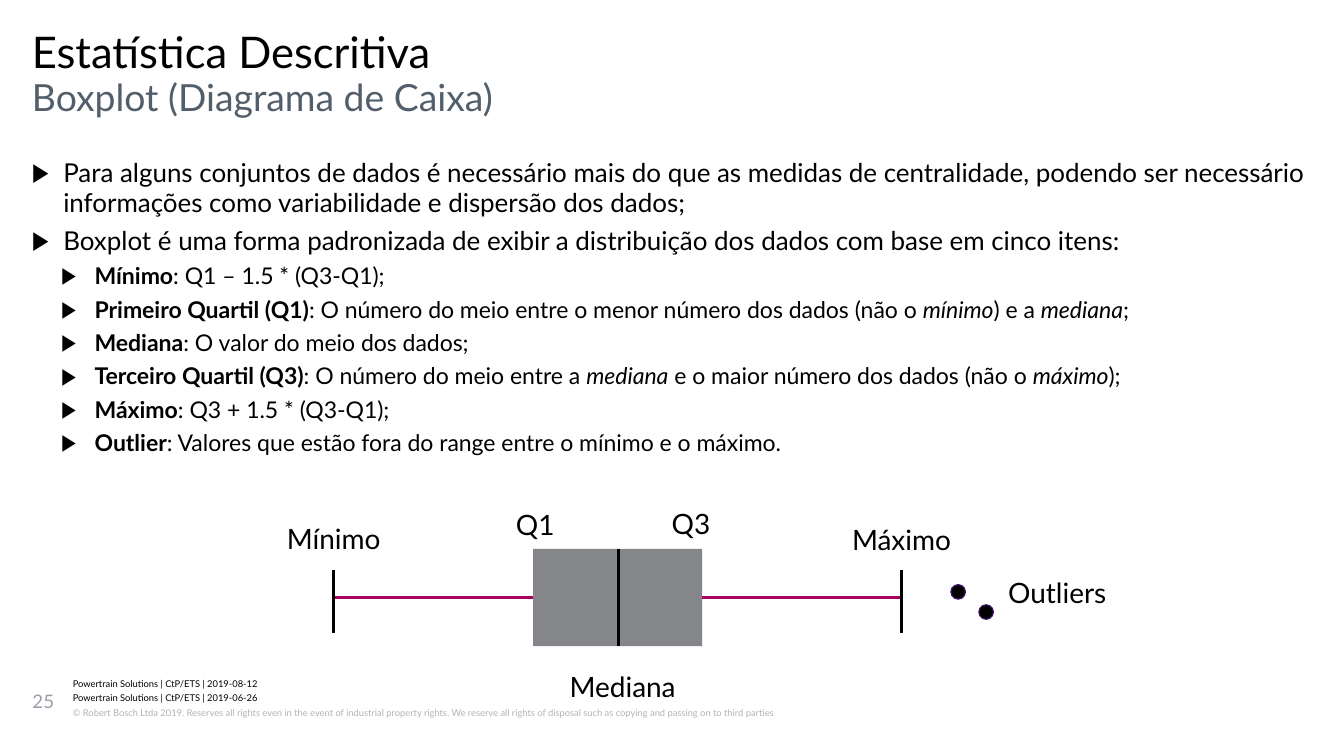
from lxml import etree
from pptx import Presentation, util as u
from pptx.dml.color import RGBColor
from pptx.enum import shapes, text
from pptx.oxml.ns import qn

COLORS = {"black": "000000", "slate": "525F6B", "number": "999FA6", "legal": "B2B3B5",
          "box": "848689", "whisker": "A80163", "outlier": "3F136C"}

presentation = Presentation()
presentation.slide_width = u.Inches(12)
presentation.slide_height = u.Inches(6.75)
slide = presentation.slides.add_slide(presentation.slide_layouts[3])

# Grid of 120 columns by 67.5 rows
COLUMN = presentation.slide_width / 120
ROW = presentation.slide_height / 67.5


def grid(left, top, width, height):
    return [int(n * unit) for n, unit in zip((left, top, width, height), (COLUMN, ROW) * 2)]


def write(box, content, size=18, color="black", bold=False, italic=False, align=None,
          spacing=None, before=0, after=0, bullet=None, level=0, append=False, place=None):
    """Write one run; place sets up the box first, append continues its last paragraph."""
    frame = box.text_frame
    if place:
        box.left, box.top, box.width, box.height = grid(*place)
        frame.margin_left = frame.margin_right = frame.margin_top = frame.margin_bottom = 0
        frame.vertical_anchor = text.MSO_ANCHOR.TOP
        frame.auto_size = text.MSO_AUTO_SIZE.NONE
        frame.word_wrap = align is None
    paragraph = frame.paragraphs[-1]
    if not append:
        if paragraph.runs:
            paragraph = frame.add_paragraph()
        paragraph.level = level
        paragraph.alignment = align
        paragraph.line_spacing = spacing
        paragraph.space_before, paragraph.space_after = u.Pt(before), u.Pt(after)
        if bullet:
            properties = paragraph._p.get_or_add_pPr()
            margin, indent = bullet
            properties.set("marL", str(u.Inches(margin)))
            properties.set("indent", str(u.Inches(indent)))
            etree.SubElement(properties, qn("a:buChar")).set("char", "▶")
    run = paragraph.add_run()
    run.text = content
    font = run.font
    font.name, font.size, font.bold, font.italic = "Lato", u.Pt(size), bold, italic
    font.color.rgb = RGBColor.from_string(COLORS[color])


# Footer: three separate lines
for content, top, height, color, spacing in [
    ("Powertrain Solutions | CtP/ETS | 2019-08-12", 60.5, 1.2, "black", 1.07),
    ("Powertrain Solutions | CtP/ETS | 2019-06-26", 61.7, 1.2, "black", 1.07),
    ("© Robert Bosch Ltda 2019. Reserves all rights even in the event of industrial property "
     "rights. We reserve all rights of disposal such as copying and passing on to third parties",
     62.9, 2.4, "legal", 1.2),
]:
    place = (6.5, top, 100.1, height)
    write(slide.shapes.add_textbox(*grid(*place)), content, place=place,
          size=6, color=color, spacing=spacing, after=1)
place = (2.9, 61.6, 3.2, 4.5)
write(slide.shapes.add_textbox(*grid(*place)), "25", place=place, size=12, color="number")

# Headings
title, heading, body = slide.placeholders
write(title, "Boxplot (Diagrama de Caixa)", place=(2.85, 7.1, 114.3, 4.3),
      size=24, color="slate", spacing=0.89, align=text.PP_ALIGN.LEFT)
write(heading, "Estatística Descritiva", place=(2.85, 2.8, 114.3, 4.3), size=28, spacing=0.89,
      align=text.PP_ALIGN.LEFT)
heading_properties = heading.text_frame.paragraphs[0]._p.get_or_add_pPr()
heading_properties.set("marL", "0")
heading_properties.set("indent", "0")
etree.SubElement(heading_properties, qn("a:buNone"))

# List: introduction, then one term and its definition per line (italics between underscores)
write(body, "Para alguns conjuntos de dados é necessário mais do que as medidas de centralidade, "
      "podendo ser necessário informações como variabilidade e dispersão dos dados;",
      place=(2.85, 14.1, 114.3, 27.9), size=16.7, spacing=0.97, bullet=(0.28, -0.28))
write(body, "Boxplot é uma forma padronizada de exibir a distribuição dos dados com base em "
      "cinco itens:", size=16.7, spacing=0.97, before=5, bullet=(0.28, -0.28))
for term, definition in [
    ("Mínimo", ": Q1 – 1.5 * (Q3-Q1);"),
    ("Primeiro Quartil (Q1)", ": O número do meio entre o menor número dos dados "
                              "(não o _mínimo_) e a _mediana_;"),
    ("Mediana", ": O valor do meio dos dados;"),
    ("Terceiro Quartil (Q3)", ": O número do meio entre a _mediana_ e o maior número dos dados "
                              "(não o _máximo_);"),
    ("Máximo", ": Q3 + 1.5 * (Q3-Q1);"),
    ("Outlier", ": Valores que estão fora do range entre o mínimo e o máximo."),
]:
    write(body, term, size=14.8, bold=True, spacing=0.93, before=5, level=1, bullet=(0.56, -0.3))
    for index, part in enumerate(definition.split("_")):
        write(body, part, size=14.8, italic=index % 2 == 1, append=True)

# Box and outliers
plot_shapes = []
for kind, place, fill, line in [
    (shapes.MSO_SHAPE.RECTANGLE, (47.6, 49, 15.1, 8.7), "box", None),
    (shapes.MSO_SHAPE.OVAL, (84.9, 52.2, 1.3, 1.3), "black", "outlier"),
    (shapes.MSO_SHAPE.OVAL, (87.4, 54, 1.3, 1.3), "black", "outlier"),
]:
    shape = slide.shapes.add_shape(kind, *grid(*place))
    shape.shadow.inherit = False
    shape.fill.solid()
    shape.fill.fore_color.rgb = RGBColor.from_string(COLORS[fill])
    if line:
        shape.line.color.rgb = RGBColor.from_string(COLORS[line])
        shape.line.width = u.Pt(0.75)
    else:
        shape.line.fill.background()
    plot_shapes.append(shape)
box = plot_shapes[0]

# Whiskers joined to the box sides, end caps and median
for start, end, color, side in [
    ((62.7, 53.4), (80.5, 53.4), "whisker", 3),
    ((47.6, 53.4), (29.8, 53.4), "whisker", 1),
    ((29.8, 50.9), (29.8, 56.5), "black", None),
    ((80.5, 50.9), (80.5, 56.5), "black", None),
    ((55.2, 49), (55.2, 57.7), "black", None),
]:
    connector = slide.shapes.add_connector(shapes.MSO_CONNECTOR.STRAIGHT, *grid(*start, *end))
    if side is not None:
        connector.begin_connect(box, side)
        connector.end_y = connector.begin_y
    connector.line.color.rgb = RGBColor.from_string(COLORS[color])
    connector.line.width = u.Pt(2)
    etree.SubElement(connector._element.spPr, qn("a:effectLst"))

# Labels
for content, left, top in [
    ("Mínimo", 24.8, 46.4), ("Máximo", 75.5, 46.5), ("Mediana", 50.6, 59.6),
    ("Q3", 56.7, 45), ("Q1", 42.8, 45.1), ("Outliers", 89.4, 51.2),
]:
    place = (left, top, 10, 3.9)
    write(slide.shapes.add_textbox(*grid(*place)), content, place=place,
          align=text.PP_ALIGN.CENTER, spacing=u.Pt(23))

presentation.save("out.pptx")
